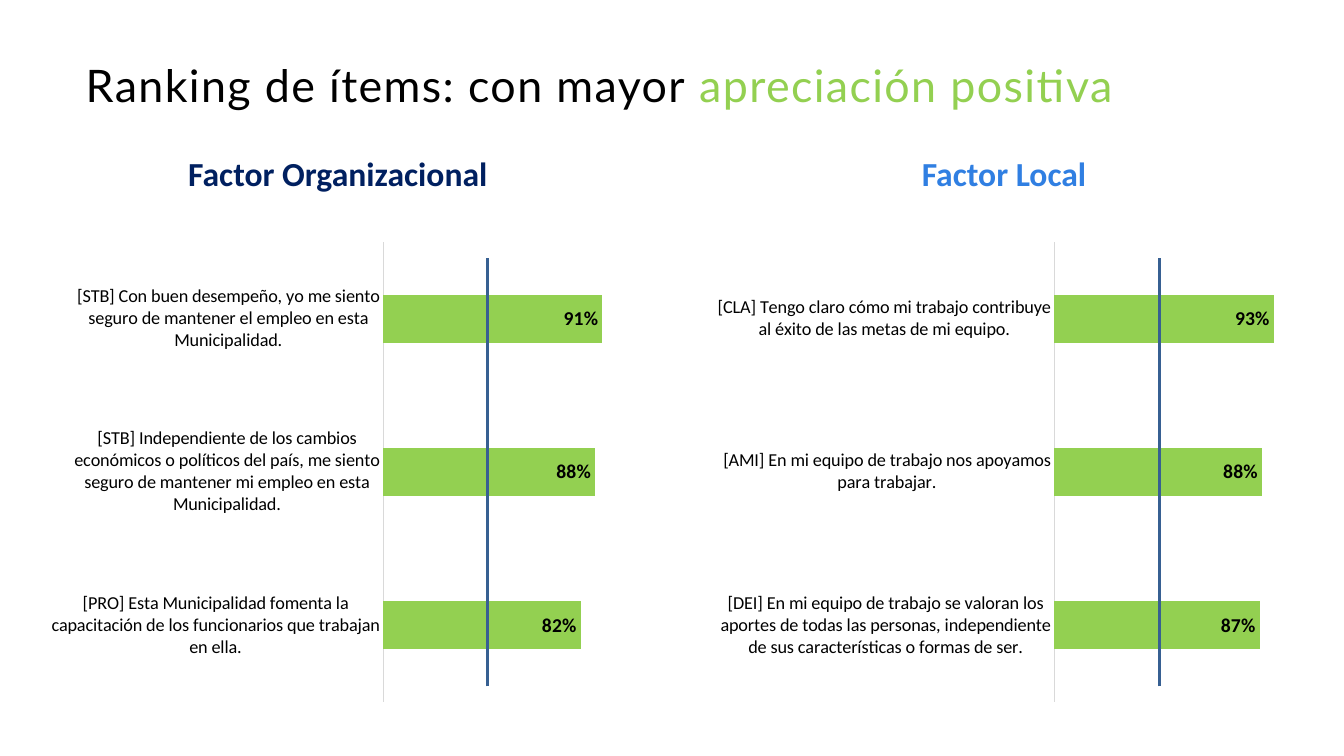
"""Build a slide ranking the best-rated survey items for two factors."""
from dataclasses import dataclass

from lxml import etree
from pptx import Presentation
from pptx import util as u
from pptx.chart import data as chart_data
from pptx.dml.color import RGBColor
from pptx.enum import chart as charts, shapes, text
from pptx.oxml import ns


@dataclass(frozen=True)
class Theme:
    title_font: str = "Lato"
    body_font: str = "Calibri"
    title_size: int = 32
    heading_size: int = 24
    value_size: int = 14
    category_size: int = 13
    chart_size: int = 10
    black: str = "000000"
    white: str = "FFFFFF"
    positive: str = "93D051"
    organization: str = "002060"
    local: str = "307FE2"
    axis: str = "D9D9D9"
    reference: str = "376092"


@dataclass(frozen=True)
class Item:
    statement: str
    share: float


@dataclass(frozen=True)
class Panel:
    heading: str
    color: str
    heading_left: float
    chart_left: float
    plot_start: float
    reference_x: float
    items: tuple[Item, ...]


THEME = Theme()
PLOT_END = 0.98
PANELS = (
    Panel("Factor Organizacional", THEME.organization, 59.8, 28.8, 0.576, 348.5, (
        Item("[PRO] Esta Municipalidad fomenta la capacitación de los funcionarios "
             "que trabajan en ella.", 0.82),
        Item("[STB] Independiente de los cambios económicos o políticos del país, me siento "
             "seguro de mantener mi empleo en esta Municipalidad.", 0.88),
        Item("[STB] Con buen desempeño, yo me siento seguro de mantener el empleo "
             "en esta Municipalidad.", 0.91),
    )),
    Panel("Factor Local", THEME.local, 535.7, 504.7, 0.584, 828, (
        Item("[DEI] En mi equipo de trabajo se valoran los aportes de todas las personas, "
             "independiente de sus características o formas de ser.", 0.87),
        Item("[AMI] En mi equipo de trabajo nos apoyamos para trabajar.", 0.88),
        Item("[CLA] Tengo claro cómo mi trabajo contribuye al éxito de las metas "
             "de mi equipo.", 0.93),
    )),
)


def style_font(font, name: str, size: float, color: str, bold: bool = False) -> None:
    """Set the face, size, colour and weight of a font."""
    font.name = name
    font.size = u.Pt(size)
    font.bold = bold
    font.color.rgb = RGBColor.from_string(color)


def place_title(slide) -> None:
    """Move and fill the title placeholder."""
    title = slide.shapes.title
    title.left, title.top, title.width, title.height = map(u.Pt, (61.2, 24.5, 848.2, 76.3))
    frame = title.text_frame
    frame.margin_left = frame.margin_right = frame.margin_top = frame.margin_bottom = 0
    frame.vertical_anchor = text.MSO_ANCHOR.MIDDLE
    frame.auto_size = text.MSO_AUTO_SIZE.NONE
    paragraph = frame.paragraphs[0]
    paragraph.alignment = text.PP_ALIGN.LEFT
    paragraph.line_spacing = 0.9
    for words, color in (("Ranking de ítems: con mayor ", THEME.black),
                         ("apreciación positiva", THEME.positive)):
        run = paragraph.add_run()
        run.text = words
        style_font(run.font, THEME.title_font, THEME.title_size, color)
        run.font._element.set("spc", "100")


def add_heading(slide, panel: Panel) -> None:
    """Add the centred factor name above a chart."""
    box = slide.shapes.add_textbox(u.Pt(panel.heading_left), u.Pt(113.8), u.Pt(363), u.Pt(23.8))
    frame = box.text_frame
    frame.word_wrap = True
    frame.vertical_anchor = text.MSO_ANCHOR.MIDDLE
    paragraph = frame.paragraphs[0]
    paragraph.alignment = text.PP_ALIGN.CENTER
    paragraph.line_spacing = 0.9
    run = paragraph.add_run()
    run.text = panel.heading
    style_font(run.font, THEME.body_font, THEME.heading_size, panel.color, True)


def set_plot_area(chart, start: float) -> None:
    """Fix the inner plot area as fractions of the chart frame."""
    plot_area = chart._chartSpace.chart.plotArea
    for old in plot_area.findall(ns.qn("c:layout")):
        plot_area.remove(old)
    layout = etree.Element(ns.qn("c:layout"))
    plot_area.insert(0, layout)
    manual = etree.SubElement(layout, ns.qn("c:manualLayout"))
    settings = (("layoutTarget", "inner"), ("xMode", "edge"), ("yMode", "edge"),
                ("x", start), ("y", 0.02), ("w", PLOT_END - start), ("h", 0.96))
    for name, value in settings:
        setting = value if isinstance(value, str) else f"{value:.3f}"
        etree.SubElement(manual, ns.qn(f"c:{name}")).set("val", setting)


def add_ranking(slide, panel: Panel) -> None:
    """Add the bar chart of a factor's items."""
    data = chart_data.CategoryChartData(number_format="0%")
    data.categories = [item.statement for item in panel.items]
    data.add_series("Series 1", [item.share for item in panel.items])
    chart = slide.shapes.add_chart(
        charts.XL_CHART_TYPE.BAR_CLUSTERED, u.Pt(panel.chart_left), u.Pt(166.3),
        u.Pt(425.5), u.Pt(342), data).chart
    chart.has_legend = False
    chart.has_title = False
    style_font(chart.font, THEME.body_font, THEME.chart_size, THEME.white)
    set_plot_area(chart, panel.plot_start)

    category_axis = chart.category_axis
    category_axis.major_tick_mark = charts.XL_TICK_MARK.NONE
    category_axis.format.line.color.rgb = RGBColor.from_string(THEME.axis)
    category_axis.format.line.width = u.Pt(0.75)
    style_font(category_axis.tick_labels.font, THEME.body_font, THEME.category_size, THEME.black)
    value_axis = chart.value_axis
    value_axis.minimum_scale, value_axis.maximum_scale = 0, 1
    value_axis.has_major_gridlines = False
    value_axis.visible = False

    plot = chart.plots[0]
    plot.gap_width = 219
    plot.vary_by_categories = False
    series = plot.series[0]
    series.format.fill.solid()
    series.format.fill.fore_color.rgb = RGBColor.from_string(THEME.positive)
    labels = series.data_labels
    labels.show_value = True
    labels.number_format = "0%"
    labels.number_format_is_linked = False
    labels.position = charts.XL_LABEL_POSITION.INSIDE_END
    style_font(labels.font, THEME.body_font, THEME.value_size, THEME.black, True)


def add_reference_line(slide, panel: Panel) -> None:
    """Add the vertical line crossing a chart."""
    x = u.Pt(panel.reference_x)
    line = slide.shapes.add_connector(
        shapes.MSO_CONNECTOR.STRAIGHT, x, u.Pt(490.3), x, u.Pt(184.3))
    line.line.color.rgb = RGBColor.from_string(THEME.reference)
    line.line.width = u.Pt(2)
    etree.SubElement(line._element.spPr, ns.qn("a:effectLst"))


def main() -> None:
    """Create and save the presentation."""
    presentation = Presentation()
    presentation.slide_width, presentation.slide_height = u.Pt(960), u.Pt(540)
    slide = presentation.slides.add_slide(presentation.slide_layouts[5])
    place_title(slide)
    for add_part in (add_heading, add_ranking, add_reference_line):
        for panel in PANELS:
            add_part(slide, panel)
    presentation.save("out.pptx")


if __name__ == "__main__":
    main()
